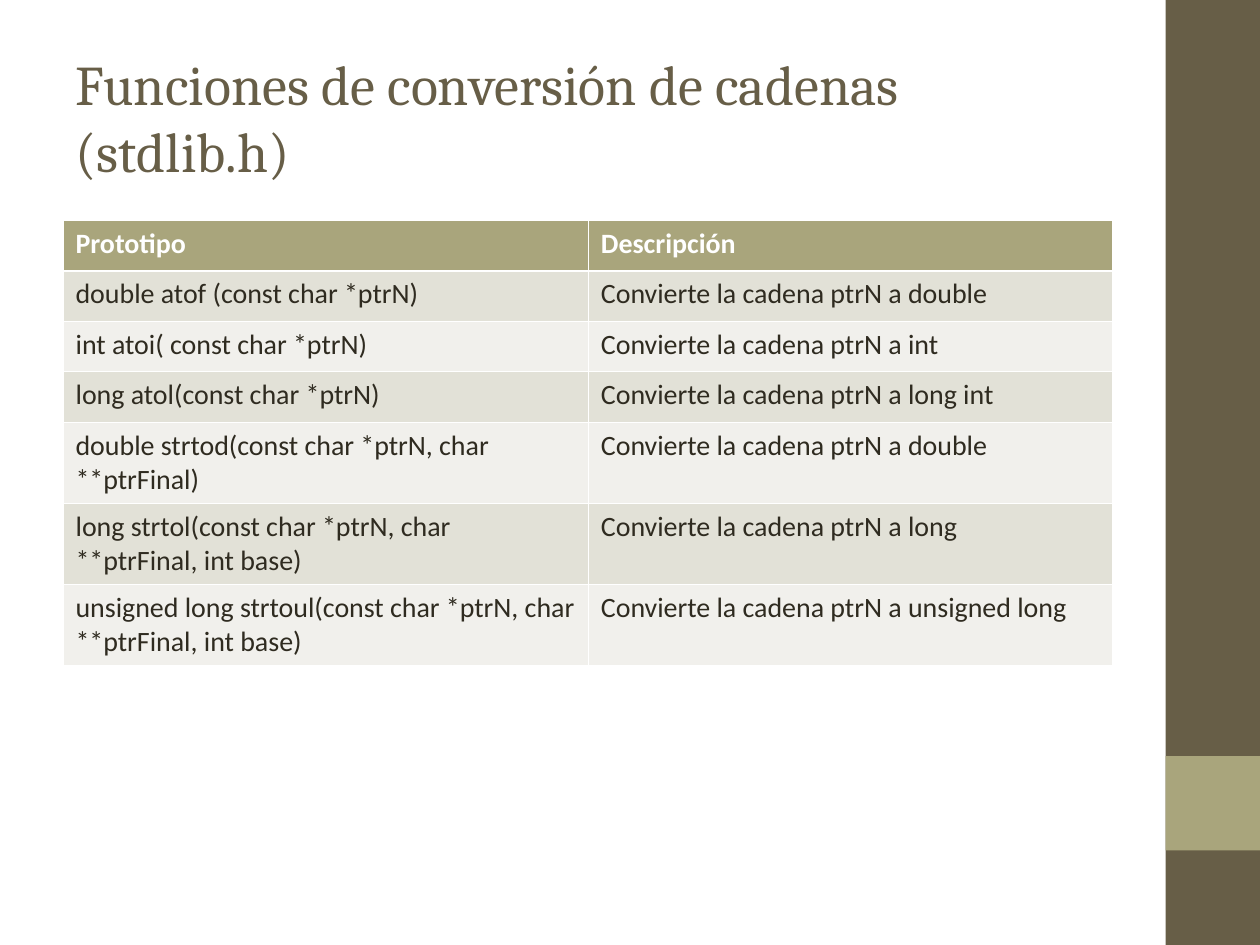
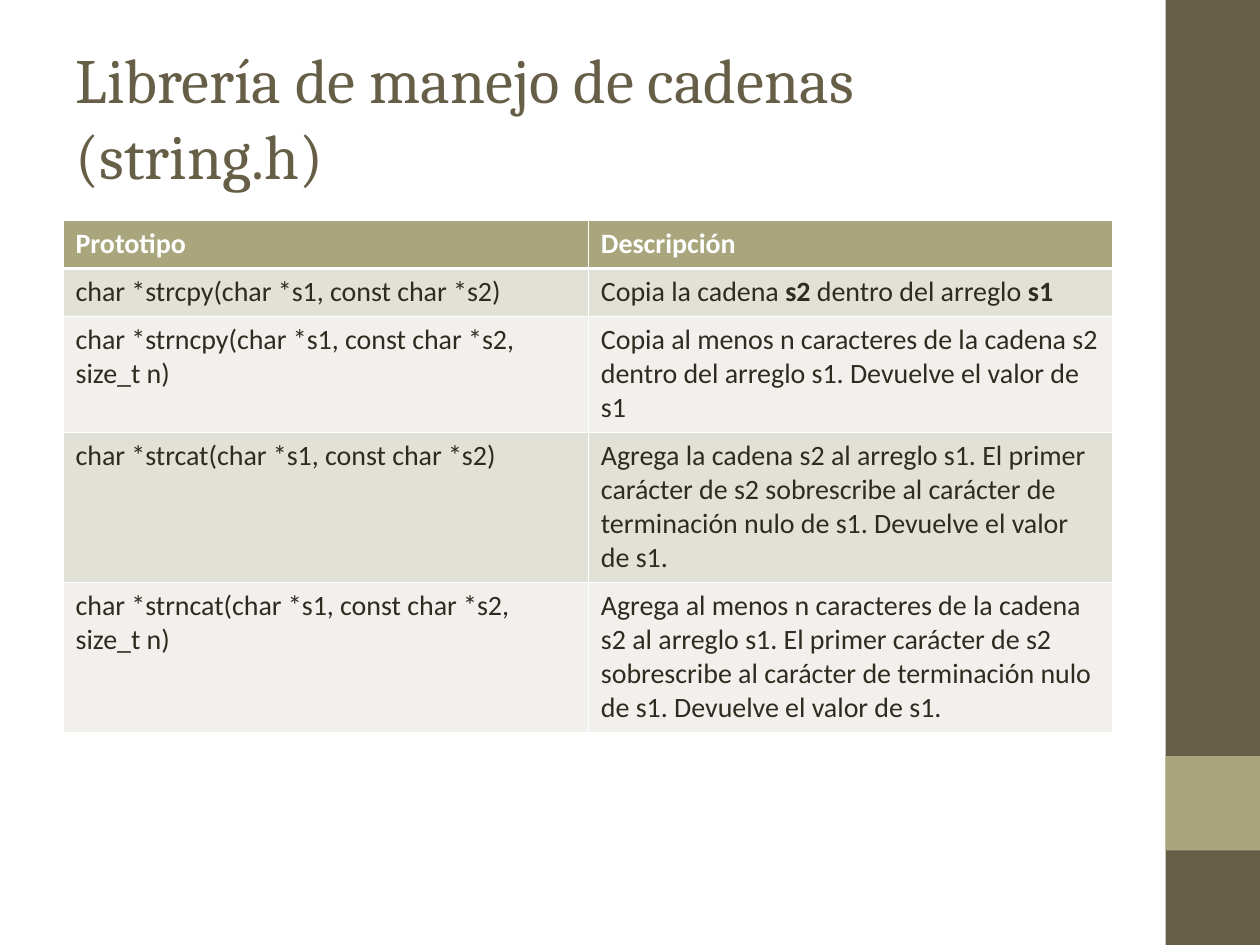
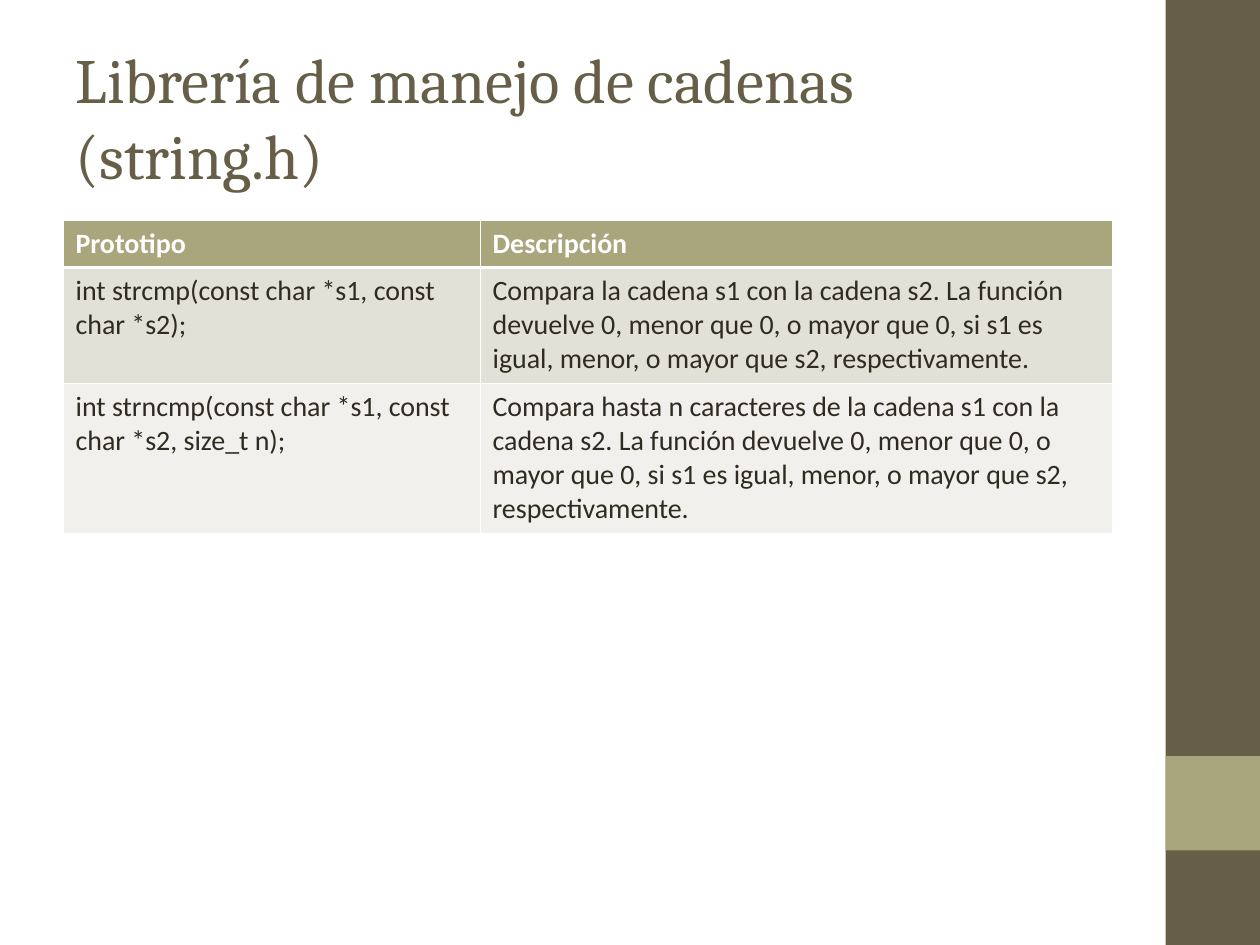
from lxml import etree
from pptx import Presentation
from pptx.dml.color import RGBColor
from pptx.enum.shapes import MSO_SHAPE
from pptx.enum.text import MSO_ANCHOR, MSO_AUTO_SIZE, PP_ALIGN
from pptx.oxml.ns import qn
from pptx.util import Pt

RECTANGLE = MSO_SHAPE.RECTANGLE
MIDDLE = MSO_ANCHOR.MIDDLE
NO_AUTOFIT = MSO_AUTO_SIZE.NONE
LEFT = PP_ALIGN.LEFT

EMU_PER_PX = 9144
TITLE_ONLY = 5
COLORS = {
    "brown": "675E47",
    "olive": "A9A57C",
    "odd_row": "E2E1D7",
    "even_row": "F1F0EC",
    "text": "2F2B20",
    "white": "FFFFFF",
}
THIN, THICK = 0.45, 1.47
HEADER = ("Prototipo", "Descripción")

STRING_TITLE = "Librería de manejo de cadenas (string.h)"
CONVERSION_ROWS = [
    ("double atof (const char *ptrN)", "Convierte la cadena ptrN a double"),
    ("int atoi( const char *ptrN)", "Convierte la cadena ptrN a int"),
    ("long atol(const char *ptrN)", "Convierte la cadena ptrN a long int"),
    ("double strtod(const char *ptrN, char **ptrFinal)",
     "Convierte la cadena ptrN a double"),
    ("long strtol(const char *ptrN, char **ptrFinal, int base)",
     "Convierte la cadena ptrN a long"),
    ("unsigned long strtoul(const char *ptrN, char **ptrFinal, int base)",
     "Convierte la cadena ptrN a unsigned long"),
]
COPY_ROWS = [
    ("char *strcpy(char *s1, const char *s2)",
     [("Copia la cadena ", False), ("s2", True),
      (" dentro del arreglo ", False), ("s1", True)]),
    ("char *strncpy(char *s1, const char *s2, size_t n)",
     "Copia al menos n caracteres de la cadena s2 dentro del arreglo s1. "
     "Devuelve el valor de s1"),
    ("char *strcat(char *s1, const char *s2)",
     "Agrega la cadena s2 al arreglo s1. El primer carácter de s2 sobrescribe "
     "al carácter de terminación nulo de s1. Devuelve el valor de s1."),
    ("char *strncat(char *s1, const char *s2, size_t n)",
     "Agrega al menos n caracteres de la cadena s2 al arreglo s1. El primer "
     "carácter de s2 sobrescribe al carácter de terminación nulo de s1. "
     "Devuelve el valor de s1."),
]
COMPARE_ROWS = [
    ("int strcmp(const char *s1, const char *s2);",
     "Compara la cadena s1 con la cadena s2. La función devuelve 0, menor que 0, "
     "o mayor que 0, si s1 es igual, menor, o mayor que s2, respectivamente."),
    ("int strncmp(const char *s1, const char *s2, size_t n);",
     "Compara hasta n caracteres de la cadena s1 con la cadena s2. La función "
     "devuelve 0, menor que 0, o mayor que 0, si s1 es igual, menor, o mayor "
     "que s2, respectivamente."),
]


def px(value):
    """Turn px into EMU."""
    return value * EMU_PER_PX


def color(name):
    """Look up a named colour."""
    return RGBColor.from_string(COLORS[name])


class Deck:
    """Holds the presentation, its style and the current slide."""

    def __init__(self):
        """Start an empty presentation."""
        self.presentation = Presentation()
        self.presentation.slide_width = px(1000)
        self.presentation.slide_height = px(750)
        self.slide = None

    def add_slide(self, title, title_size):
        """Add a slide with its side bands and title."""
        layout = self.presentation.slide_layouts[TITLE_ONLY]
        self.slide = self.presentation.slides.add_slide(layout)
        self.band(0, 750, "brown")
        self.band(600, 75, "olive")
        self.title(title, title_size)

    def band(self, top, height, fill):
        """Draw a block of the right-hand band."""
        shape = self.slide.shapes.add_shape(
            RECTANGLE, px(925), px(top), px(75), px(height))
        shape.shadow.inherit = False
        shape.fill.solid()
        shape.fill.fore_color.rgb = color(fill)
        shape.line.fill.background()

    def title(self, text, size):
        """Place and format the title placeholder."""
        shape = self.slide.shapes.title
        shape.left, shape.top = px(50), px(30)
        shape.width, shape.height = px(833), px(125)
        frame = shape.text_frame
        frame.text = text
        frame.word_wrap = True
        frame.auto_size = NO_AUTOFIT
        frame.vertical_anchor = MIDDLE
        paragraph = frame.paragraphs[0]
        paragraph.alignment = LEFT
        self.font(paragraph.font, "Cambria", size, "brown")

    def font(self, font, name, size, color_name, bold=False):
        """Set all the properties of a font."""
        font.name = name
        font.size = Pt(size)
        font.color.rgb = color(color_name)
        font.bold = bold

    def table(self, rows, column_widths, row_heights):
        """Add a banded table under the shared header."""
        table = self.slide.shapes.add_table(
            len(row_heights), len(column_widths), px(50), px(175),
            px(sum(column_widths)), px(sum(row_heights))).table
        for column, width in zip(table.columns, column_widths):
            column.width = px(width)
        for row, height in zip(table.rows, row_heights):
            row.height = px(height)
        for row_index, contents in enumerate([HEADER, *rows]):
            for column_index, content in enumerate(contents):
                self.cell(table.cell(row_index, column_index), content, row_index)

    def cell(self, cell, content, row_index):
        """Fill a cell and style it by its row."""
        is_header = row_index == 0
        self.borders(cell, THICK if row_index == 1 else THIN,
                     THICK if is_header else THIN)
        fill = "olive" if is_header else "odd_row" if row_index % 2 else "even_row"
        cell.fill.solid()
        cell.fill.fore_color.rgb = color(fill)
        paragraph = cell.text_frame.paragraphs[0]
        runs = [(content, is_header)] if isinstance(content, str) else content
        text_color = "white" if is_header else "text"
        for text, bold in runs:
            run = paragraph.add_run()
            run.text = text
            self.font(run.font, "Calibri", 16, text_color, bold)

    def borders(self, cell, top, bottom):
        """Draw white borders around a cell."""
        properties = cell._tc.get_or_add_tcPr()
        for side, width in (("L", THIN), ("R", THIN), ("T", top), ("B", bottom)):
            line = etree.SubElement(properties, qn(f"a:ln{side}"), w=str(Pt(width)))
            fill = etree.SubElement(line, qn("a:solidFill"))
            etree.SubElement(fill, qn("a:srgbClr"), val=COLORS["white"])


def main():
    """Build the three slides."""
    deck = Deck()
    deck.add_slide("Funciones de conversión de cadenas (stdlib.h)", 32)
    deck.table(CONVERSION_ROWS, [417, 416], [40] * 4 + [64] * 3)
    deck.add_slide(STRING_TITLE, 36)
    deck.table(COPY_ROWS, [417, 416], [38, 38, 92, 119, 119])
    deck.add_slide(STRING_TITLE, 36)
    deck.table(COMPARE_ROWS, [331, 502], [37, 92, 119])
    deck.presentation.save("out.pptx")


if __name__ == "__main__":
    main()
